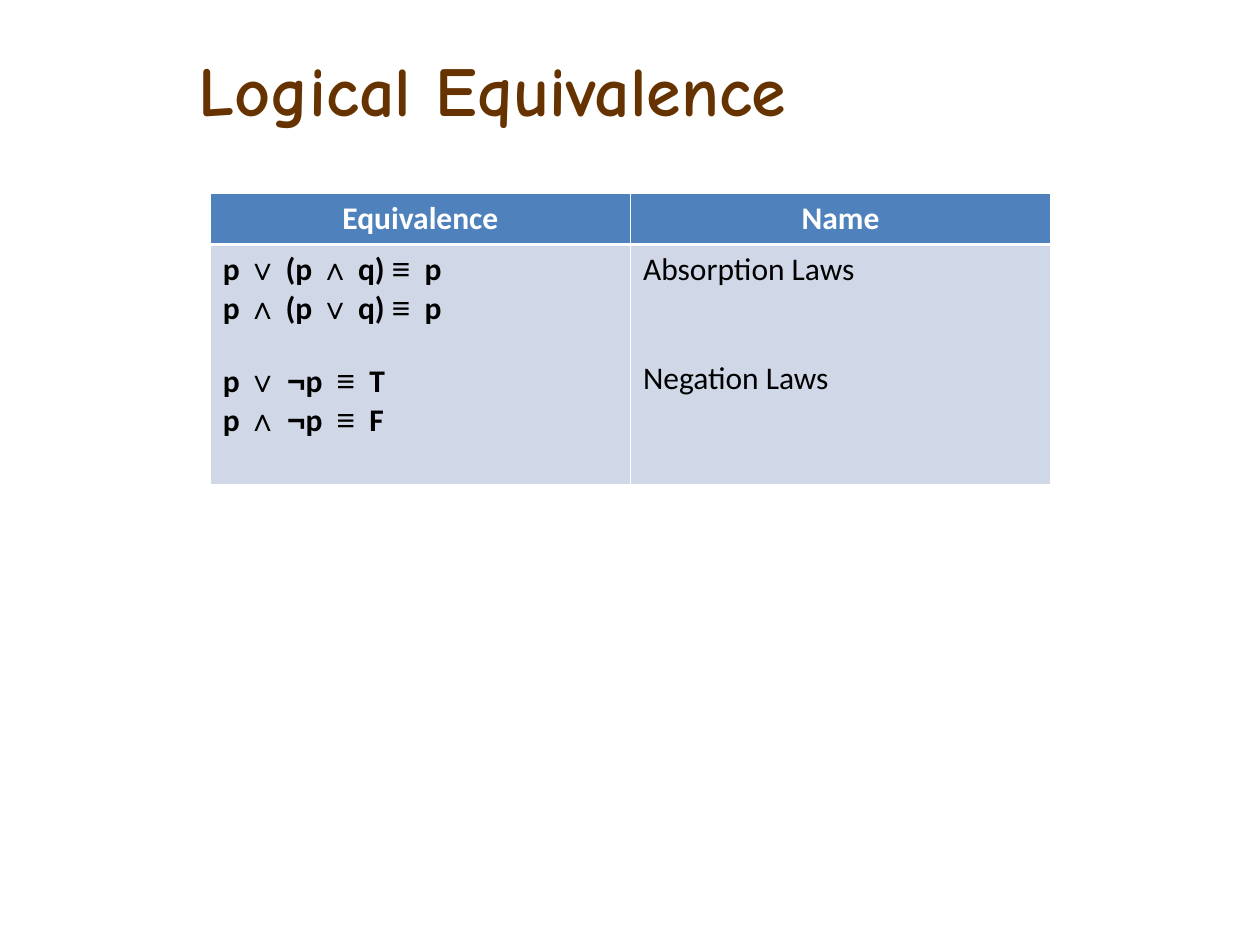
from pptx import Presentation
from pptx.dml.color import RGBColor
from pptx.enum.text import MSO_ANCHOR, MSO_AUTO_SIZE, PP_ALIGN
from pptx.oxml import parse_xml
from pptx.oxml.ns import nsdecls
from pptx.util import Cm, Pt

LEFT, CENTER = PP_ALIGN.LEFT, PP_ALIGN.CENTER
MIDDLE, NO_FIT = MSO_ANCHOR.MIDDLE, MSO_AUTO_SIZE.NONE
BROWN = RGBColor(0x66, 0x33, 0x00)
BLUE = RGBColor(0x4F, 0x81, 0xBD)
PALE = RGBColor(0xD0, 0xD8, 0xE8)
WHITE = RGBColor(0xFF, 0xFF, 0xFF)
BLACK = RGBColor(0x00, 0x00, 0x00)
TEXT_FONT, SYMBOL_FONT = "Calibri", "Arial"
THIN, THICK = 0.45, 1.47

TITLE = "Logical Equivalence"
HEADERS = ["Equivalence", "Name"]
# Bars switch between text and symbol font; numbers are points of space before.
LAWS = [
    ("p |∨| (p |∧| q) |≡|  p", 0),
    ("p |∧| (p |∨| q) |≡|  p", 0),
    ("p |∨ ¬|p  |≡|  T", 20),
    ("p |∧ ¬|p  |≡|  F", 0),
]
NAMES = [("Absorption Laws", 0), ("Negation Laws", 40)]


def write(p, text, size=18, color=BLACK, bold=False, align=LEFT, font=TEXT_FONT, before=0):
    p.alignment = align
    p.space_before = Pt(before)
    for i, part in enumerate(text.split("|")):
        r = p.add_run()
        r.text = part
        r.font.name = SYMBOL_FONT if i % 2 else font
        r.font.size = Pt(size)
        r.font.bold = bold
        r.font.color.rgb = color


def style_cell(cell, fill, top, bottom):
    cell.fill.solid()
    cell.fill.fore_color.rgb = fill
    tc_pr = cell._tc.get_or_add_tcPr()
    sides = [("L", THIN), ("R", THIN), ("T", top), ("B", bottom)]
    for i, (side, width) in enumerate(sides):
        tc_pr.insert(i, parse_xml(
            f'<a:ln{side} {nsdecls("a")} w="{Pt(width)}"><a:solidFill>'
            f'<a:srgbClr val="{WHITE}"/></a:solidFill></a:ln{side}>'))


prs = Presentation()
prs.slide_width, prs.slide_height = Cm(25.4), Cm(19.05)
s = prs.slides.add_slide(prs.slide_layouts[5])

title = s.shapes.title
title.left, title.top, title.width, title.height = Cm(1.27), Cm(1.04), Cm(22.86), Cm(1.5)
tf = title.text_frame
tf.auto_size = NO_FIT
tf.vertical_anchor = MIDDLE
tf.margin_left = Cm(2.74)
write(tf.paragraphs[0], TITLE, size=40, color=BROWN, bold=True, font="Comic Neue")

table = s.shapes.add_table(2, 2, Cm(4.24), Cm(3.89), Cm(16.94), Cm(5.87)).table
table.rows[0].height, table.rows[1].height = Cm(1.04), Cm(4.83)
for col, (header, lines) in enumerate(zip(HEADERS, [LAWS, NAMES])):
    head, body = table.cell(0, col), table.cell(1, col)
    style_cell(head, BLUE, THIN, THICK)
    style_cell(body, PALE, THICK, THIN)
    write(head.text_frame.paragraphs[0], header, color=WHITE, bold=True, align=CENTER)
    tf = body.text_frame
    for i, (text, before) in enumerate(lines):
        p = tf.add_paragraph() if i else tf.paragraphs[0]
        write(p, text, bold=lines is LAWS, before=before)

prs.save("out.pptx")
